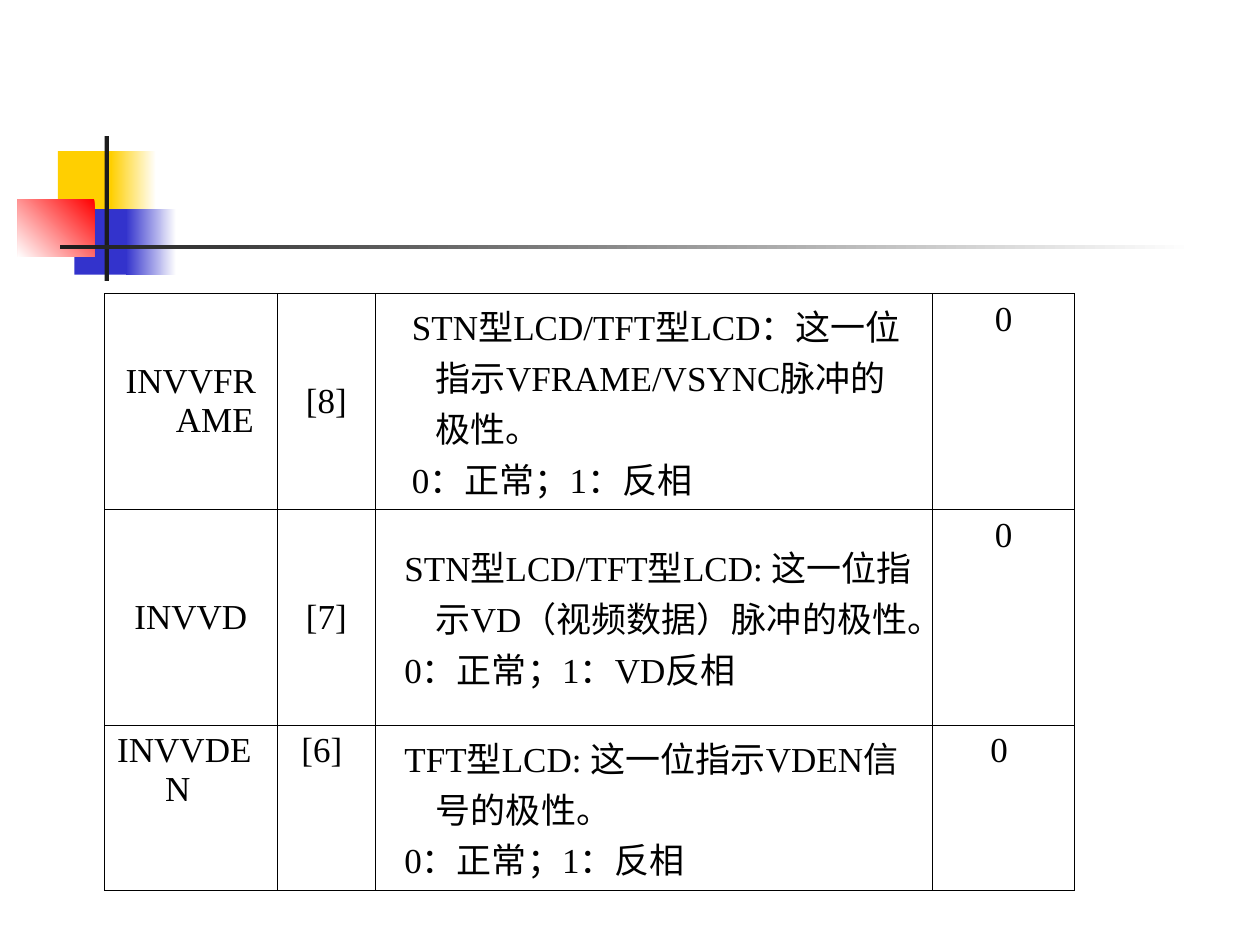
from lxml import etree
from pptx import Presentation
from pptx.dml.color import RGBColor
from pptx.enum.shapes import MSO_SHAPE
from pptx.enum.text import MSO_ANCHOR, PP_ALIGN
from pptx.oxml.ns import qn
from pptx.util import Inches, Pt

RECT = MSO_SHAPE.RECTANGLE
LEFT, MID = PP_ALIGN.LEFT, PP_ALIGN.CENTER
TOP, CENTRE = MSO_ANCHOR.TOP, MSO_ANCHOR.MIDDLE

THEME = {
    "font": "Times New Roman", "size": 20, "rule": 0.45,
    "text": "000000", "white": "FFFFFF", "gold": "FFCF01",
    "blue": "3333CC", "red": "FF0000", "dark": "1C1C1C",
}

# Content: register bit name, position, description lines, reset value
ROWS = [
    ("INVVFRAME", "[8]",
     ["STN型LCD/TFT型LCD：这一位指示VFRAME/VSYNC脉冲的极性。",
      "0：正常；1：反相"], "0"),
    ("INVVD", "[7]",
     ["STN型LCD/TFT型LCD: 这一位指示VD（视频数据）脉冲的极性。",
      "0：正常；1：VD反相"], "0"),
    ("INVVDEN", "[6] ",
     ["TFT型LCD: 这一位指示VDEN信号的极性。",
      "0：正常；1：反相"], "0 "),
]

# Lengths are percent of the slide's width
WIDE, HIGH = Inches(10), Inches(7.5)
COLS = [13.7, 7.8, 44.2, 11.3]
TALL = [15.1, 15.1, 11.1]
ORIGIN = (8.3, 23.3)
HANG = 3.8
FIRST = [-1.9, -2.5, -2.5]  # first-line indent of each row's description

# Ornament: left, top, width, height, colours, gradient angle
DECOR = [
    (4.6, 12, 4.8, 5.2, ["gold"], 0),
    (8.8, 12, 3.6, 5.2, ["white", "gold"], 180),
    (5.9, 16.6, 4.6, 5.2, ["blue"], 0),
    (10, 16.6, 4, 5.2, ["white", "blue"], 180),
    (1.4, 15.8, 6.1, 4.6, ["red", "white"], 225),
    (8.3, 10.8, 0.35, 11.5, ["dark"], 0),
    (4.8, 19.45, 90, 0.35, ["white", "dark"], 180),
]


def pct(n):
    return int(WIDE * n / 100)


def tint(name):
    return RGBColor.from_string(THEME[name])


def block(slide, *spec):
    *box, tones, angle = spec
    shape = slide.shapes.add_shape(RECT, *map(pct, box))
    shape.shadow.inherit = False
    shape.line.fill.background()
    fill = shape.fill
    if len(tones) == 1:
        fill.solid()
        fill.fore_color.rgb = tint(tones[0])
        return
    fill.gradient()
    fill.gradient_angle = angle
    for stop, tone, spot in zip(fill.gradient_stops, tones, (0, 1)):
        stop.color.rgb = tint(tone)
        stop.position = spot


def border(cell):
    props = cell._tc.get_or_add_tcPr()
    for side in ("lnL", "lnR", "lnT", "lnB"):
        line = etree.SubElement(props, qn("a:" + side),
                                w=str(int(Pt(THEME["rule"]))))
        fill = etree.SubElement(line, qn("a:solidFill"))
        etree.SubElement(fill, qn("a:srgbClr"), val=THEME["text"])


def write(cell, lines, align, anchor, first):
    border(cell)
    cell.fill.background()
    cell.vertical_anchor = anchor
    frame = cell.text_frame
    frame.text = "\n".join(lines)
    for para in frame.paragraphs:
        para.alignment = align
        props = para._p.get_or_add_pPr()
        props.set("marL", str(pct(HANG)))
        props.set("indent", str(pct(first)))
        font = para.runs[0].font
        look = {"name": THEME["font"], "size": Pt(THEME["size"])}
        for key, val in look.items():
            setattr(font, key, val)
        font.color.rgb = tint("text")


def grid(slide):
    size = (sum(COLS), sum(TALL))
    table = slide.shapes.add_table(len(ROWS), len(COLS),
                                   *map(pct, ORIGIN + size)).table
    for flag in ("first_row", "horz_banding"):
        setattr(table, flag, False)
    for col, width in zip(table.columns, COLS):
        col.width = pct(width)
    for r, row in enumerate(ROWS):
        table.rows[r].height = pct(TALL[r])
        last = r == len(ROWS) - 1
        for c, item in enumerate(row):
            desc = c == 2
            write(table.cell(r, c),
                  item if desc else [item],
                  LEFT if desc or (last and c == 0) else MID,
                  TOP if last or c == 3 else CENTRE,
                  FIRST[r] if desc else -HANG)


def main():
    deck = Presentation()
    deck.slide_width, deck.slide_height = WIDE, HIGH
    slide = deck.slides.add_slide(deck.slide_layouts[6])
    for spec in DECOR:
        block(slide, *spec)
    grid(slide)
    deck.save("out.pptx")


if __name__ == "__main__":
    main()
